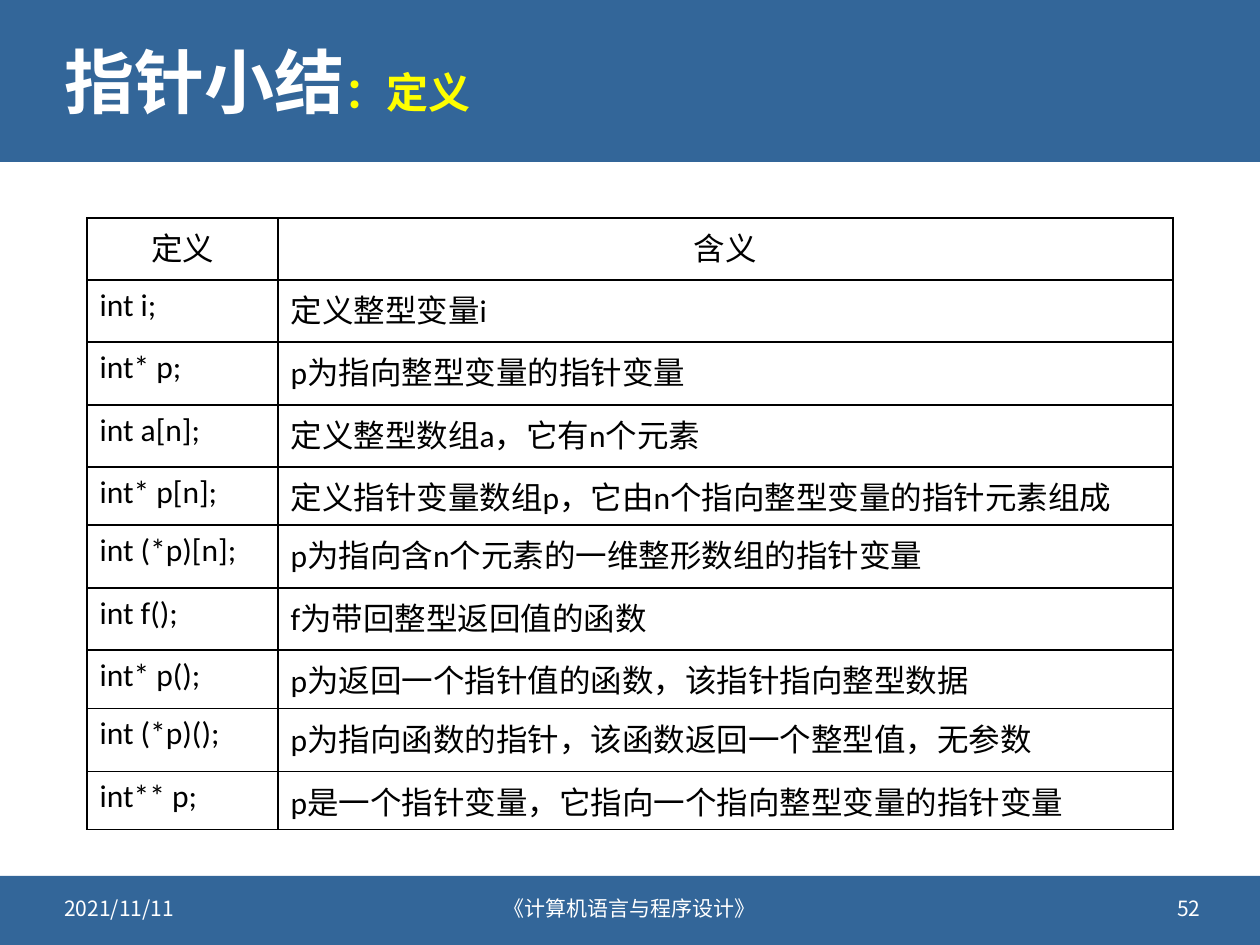
from lxml import etree
from pptx import Presentation
from pptx.dml.color import RGBColor
from pptx.enum.shapes import MSO_SHAPE
from pptx.enum.text import MSO_ANCHOR, MSO_AUTO_SIZE, PP_ALIGN
from pptx.oxml import parse_xml
from pptx.oxml.ns import qn
from pptx.util import Emu, Pt

BLUE = RGBColor(0x33, 0x66, 0x99)
WHITE = RGBColor(0xFF, 0xFF, 0xFF)
YELLOW = RGBColor(0xFF, 0xFF, 0x00)
BLACK = RGBColor(0x00, 0x00, 0x00)
RECTANGLE = MSO_SHAPE.RECTANGLE
MIDDLE = MSO_ANCHOR.MIDDLE
NO_FIT = MSO_AUTO_SIZE.NONE
LEFT, CENTER, RIGHT = PP_ALIGN.LEFT, PP_ALIGN.CENTER, PP_ALIGN.RIGHT
CJK_FONT = "Noto Sans CJK SC"
SCALE = 914400 / 126
DRAWING = "http://schemas.openxmlformats.org/drawingml/2006/main"


def px(length):
    return Emu(round(length * SCALE))


def add_span(para, text, size, color, font=CJK_FONT, bold=False):
    span = para.add_run()
    span.text = text
    style = {"size": Pt(size), "name": font, "bold": bold}
    for name, value in style.items():
        setattr(span.font, name, value)
    span.font.color.rgb = color
    east_asian = etree.SubElement(span.font._element, qn("a:ea"))
    east_asian.set("typeface", CJK_FONT)


deck = Presentation()
deck.slide_width, deck.slide_height = px(1260), px(945)
page = deck.slides.add_slide(deck.slide_layouts[5])
title = page.shapes.title

for top, height in [(0, 162), (876, 69)]:
    band = page.shapes.add_shape(RECTANGLE, 0, px(top), px(1260), px(height))
    band.shadow.inherit = False
    band.fill.solid()
    band.fill.fore_color.rgb = BLUE
    band.line.fill.background()
    title._element.addprevious(band._element)

title_place = {"left": 52, "top": 23, "width": 1158, "height": 125}
for name, value in title_place.items():
    setattr(title, name, px(value))
frame_format = {"word_wrap": True, "auto_size": NO_FIT, "vertical_anchor": MIDDLE}
for name, value in frame_format.items():
    setattr(title.text_frame, name, value)
para = title.text_frame.paragraphs[0]
para.alignment = LEFT
para.line_spacing = 0.9
add_span(para, "指针小结", 40, WHITE, bold=True)
add_span(para, "：定义", 24, YELLOW, bold=True)

footers = [
    (52, 302, LEFT, "2021/11/11"),
    (403, 454, CENTER, "《计算机语言与程序设计》"),
    (911, 302, RIGHT, "52"),
]
for left, width, alignment, text in footers:
    box = page.shapes.add_textbox(px(left), px(883), px(width), px(50))
    for name, value in frame_format.items():
        setattr(box.text_frame, name, value)
    para = box.text_frame.paragraphs[0]
    para.alignment = alignment
    add_span(para, text, 12, WHITE)

definitions = [
    (62, "定义", "含义"),
    (62, "int i;", "定义整型变量i"),
    (63, "int* p;", "p为指向整型变量的指针变量"),
    (62, "int a[n];", "定义整型数组a，它有n个元素"),
    (58, "int* p[n];", "定义指针变量数组p，它由n个指向整型变量的指针元素组成"),
    (63, "int (*p)[n];", "p为指向含n个元素的一维整形数组的指针变量"),
    (62, "int f();", "f为带回整型返回值的函数"),
    (58, "int* p();", "p为返回一个指针值的函数，该指针指向整型数据"),
    (63, "int (*p)();", "p为指向函数的指针，该函数返回一个整型值，无参数"),
    (58, "int** p;", "p是一个指针变量，它指向一个指向整型变量的指针变量"),
]
column_widths = [191, 895]
table_height = sum(height for height, *_ in definitions)
table = page.shapes.add_table(
    len(definitions), 2, px(87), px(218), px(sum(column_widths)), px(table_height)
).table
for column, width in zip(table.columns, column_widths):
    column.width = px(width)

for row_index, (height, *texts) in enumerate(definitions):
    table.rows[row_index].height = px(height)
    for column_index, text in enumerate(texts):
        cell = table.cell(row_index, column_index)
        cell.fill.solid()
        cell.fill.fore_color.rgb = WHITE
        para = cell.text_frame.paragraphs[0]
        para.alignment = CENTER if row_index == 0 else LEFT
        indent = para._p.get_or_add_pPr()
        indent.set("marL", str(px(64)))
        indent.set("indent", str(px(-64)))
        add_span(para, text, 18, BLACK, font="Calibri")
        properties = cell._tc.get_or_add_tcPr()
        for position, side in enumerate(["lnL", "lnR", "lnT", "lnB"]):
            border = parse_xml(
                f'<a:{side} xmlns:a="{DRAWING}" w="{Pt(1)}"><a:solidFill>'
                f'<a:srgbClr val="{BLACK}"/></a:solidFill></a:{side}>'
            )
            properties.insert(position, border)

deck.save("out.pptx")
